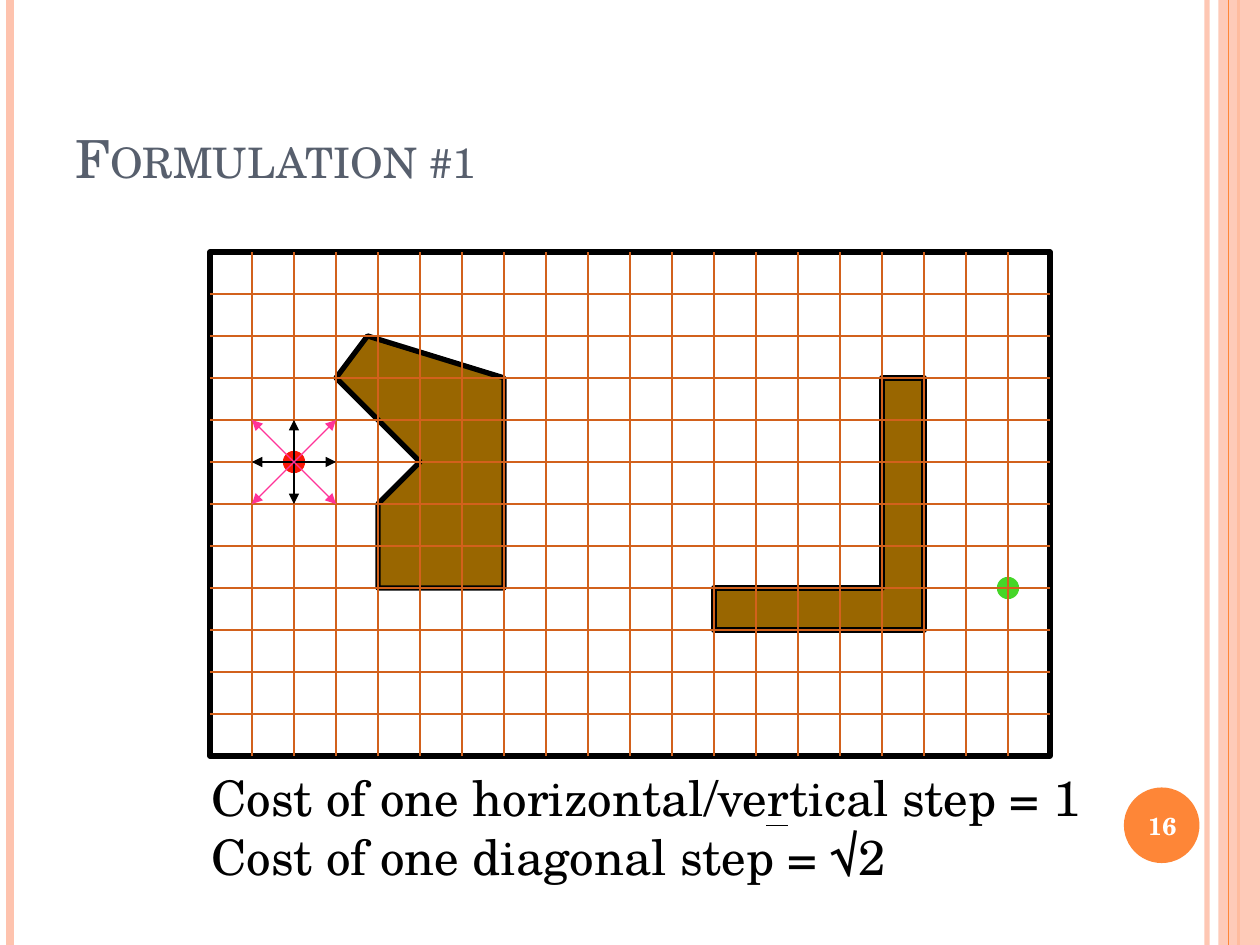
from lxml import etree
from pptx import Presentation, util as u
from pptx.dml.color import RGBColor
from pptx.enum import shapes, text
from pptx.oxml.ns import qn

FONT = "TeX Gyre Schola"
WIDTH, HEIGHT = 10, 7.5
CELL = 1 / 3
COLS, ROWS = 20, 12
LEFT, TOP = 5 * CELL, 2
BLACK, ORANGE, PEACH = "000000", "FE8637", "FEC3AE"
GRID, BROWN, PINK = "D2611C", "996600", "FF3399"
START, GOAL = (2, 5), (19, 8)
OBSTACLES = [
    [(3, 3), (5, 5), (4, 6), (4, 8), (7, 8), (7, 3), (3.75, 2)],
    [(12, 8), (12, 9), (17, 9), (17, 3), (16, 3), (16, 8)],
]


def rgb(color):
    return RGBColor.from_string(color)


def at(col, row):
    """Slide position, in inches, of a grid point."""
    return LEFT + col * CELL, TOP + row * CELL


def sub(parent, tag, **attrs):
    return etree.SubElement(parent, qn(tag), attrs)


def set_alpha(fill_parent, percent):
    color = fill_parent.find(".//" + qn("a:srgbClr"))
    sub(color, "a:alpha", val=str(percent * 1000))


def style(sp, fill=None, line=None, width=0.75):
    sp.shadow.inherit = False
    if fill:
        sp.fill.solid()
        sp.fill.fore_color.rgb = rgb(fill)
    else:
        sp.fill.background()
    if line:
        sp.line.color.rgb = rgb(line)
        sp.line.width = u.Pt(width)
    else:
        sp.line.fill.background()


def add_box(s, kind, box, **look):
    sp = s.shapes.add_shape(kind, *map(u.Inches, box))
    style(sp, **look)
    return sp


def add_dot(s, center, size, **look):
    x, y = center
    box = (x - size / 2, y - size / 2, size, size)
    return add_box(s, shapes.MSO_SHAPE.OVAL, box, **look)


def add_line(s, start, end, color, width=0.75, arrows=()):
    """Arrows may hold headEnd (at start) and tailEnd (at end)."""
    cx = s.shapes.add_connector(shapes.MSO_CONNECTOR.STRAIGHT,
                                *map(u.Inches, (*start, *end)))
    cx.line.color.rgb = rgb(color)
    cx.line.width = u.Pt(width)
    sub(cx._element.spPr, "a:effectLst")
    for arrow in arrows:
        sub(cx.line._ln, "a:" + arrow, type="triangle")
    return cx


def add_obstacle(s, points):
    first, *rest = [tuple(map(u.Inches, at(*point))) for point in points]
    builder = s.shapes.build_freeform(*first)
    builder.add_line_segments(rest, close=True)
    sp = builder.convert_to_shape()
    style(sp, BROWN, BLACK, 3)
    sub(sp.line._ln, "a:round")


def add_text(s, box, lines, size, color, anchor=text.MSO_ANCHOR.TOP,
             align=text.PP_ALIGN.LEFT, bold=False, wrap=True, small_caps=False):
    tf = s.shapes.add_textbox(*map(u.Inches, box)).text_frame
    tf.word_wrap = wrap
    tf.vertical_anchor = anchor
    tf.text = "\n".join(lines)
    for p in tf.paragraphs:
        p.alignment = align
        p.font.name = FONT
        p.font.size = u.Pt(size)
        p.font.bold = bold
        p.font.color.rgb = rgb(color)
        if small_caps:
            for r in p.runs:
                r._r.get_or_add_rPr().set("cap", "small")


def add_frame(s):
    def stripe(x, color, width):
        return add_line(s, (x, 0), (x, HEIGHT), color, width)

    set_alpha(stripe(9.58, PEACH, 3).line._ln, 93)
    stripe(0.08, PEACH, 4.5)
    stripe(9.83, ORANGE, 1.5)
    band = add_box(s, shapes.MSO_SHAPE.RECTANGLE, (9.67, 0, 0.33, HEIGHT), fill=PEACH)
    set_alpha(band._element.spPr, 87)
    stripe(9.75, ORANGE, 0.75)
    add_dot(s, (9.22, 6.55), 0.6, fill=ORANGE)


def add_map(s):
    add_box(s, shapes.MSO_SHAPE.RECTANGLE, (LEFT, TOP, COLS * CELL, ROWS * CELL),
            line=BLACK, width=3)
    for points in OBSTACLES:
        add_obstacle(s, points)
    for point, color in ((START, "F81706"), (GOAL, "45D628")):
        add_dot(s, at(*point), CELL / 2, fill=color, line=color)
    for row in range(1, ROWS):
        add_line(s, at(0, row), at(COLS, row), GRID)
    for col in range(1, COLS):
        add_line(s, at(col, 0), at(col, ROWS), GRID)


def add_moves(s):
    col, row = START
    both = ("headEnd", "tailEnd")
    for step in (-1, 1):
        add_line(s, at(col, row), at(col, row + step), BLACK, arrows=("tailEnd",))
    add_line(s, at(col - 1, row), at(col + 1, row), BLACK, arrows=both)
    for step in (1, -1):
        add_line(s, at(col + step, row - 1), at(col - step, row + 1), PINK, arrows=both)


def main():
    prs = Presentation()
    prs.slide_width, prs.slide_height = u.Inches(WIDTH), u.Inches(HEIGHT)
    s = prs.slides.add_slide(prs.slide_layouts[6])
    add_frame(s)
    add_text(s, (0.5, 0.3, 8.17, 1.25), ["Formulation #1"], 30, "575F6D",
             anchor=text.MSO_ANCHOR.BOTTOM, small_caps=True)
    add_text(s, (8.89, 6.27, 0.67, 0.57), ["16"], 14, "FFFFFF",
             anchor=text.MSO_ANCHOR.MIDDLE, align=text.PP_ALIGN.CENTER, bold=True)
    add_map(s)
    add_moves(s)
    add_text(s, (1.58, 6.04, 7.33, 1.03),
             ["Cost of one horizontal/vertical step = 1",
              "Cost of one diagonal step = √2"], 28, BLACK, wrap=False)
    add_line(s, (6.08, 6.55), (6.25, 6.55), BLACK)
    prs.save("out.pptx")


if __name__ == "__main__":
    main()
